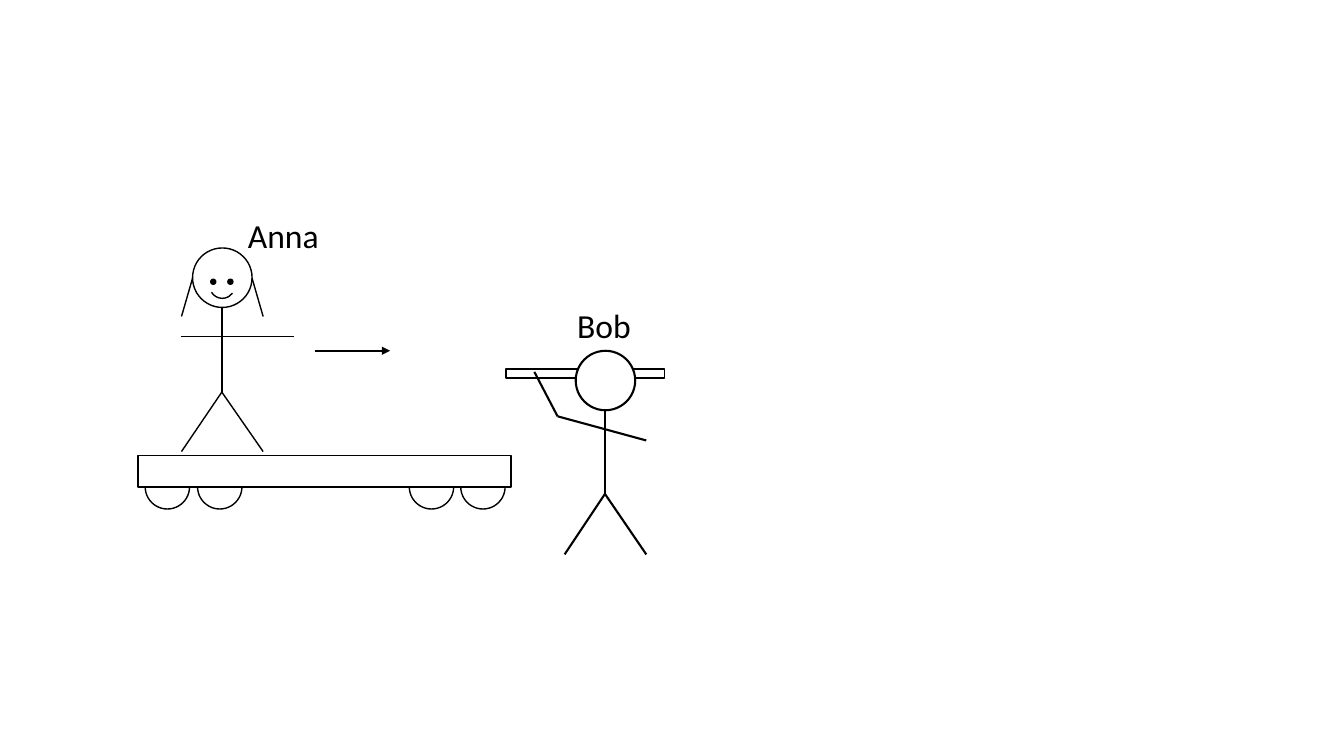
from lxml.etree import SubElement
from pptx import Presentation
from pptx.dml.color import RGBColor
from pptx.enum.shapes import MSO_CONNECTOR, MSO_SHAPE
from pptx.enum.text import MSO_AUTO_SIZE, PP_ALIGN
from pptx.oxml.ns import qn
from pptx.util import Pt

PX = 9144  # 100 px to the inch
COLORS = {"ink": "000000", "paper": "FFFFFF"}
INK = RGBColor.from_string(COLORS["ink"])
THIN, BOLD = 1, 1.5

prs = Presentation()
prs.slide_width, prs.slide_height = 1333 * PX, 750 * PX
slide = prs.slides.add_slide(prs.slide_layouts[6])


def add_outline(preset, box, fill=None, weight=THIN):
    shape = slide.shapes.add_shape(preset, *(v * PX for v in box))
    shape.shadow.inherit = False
    if fill:
        shape.fill.solid()
        shape.fill.fore_color.rgb = RGBColor.from_string(COLORS[fill])
    else:
        shape.fill.background()
    shape.line.color.rgb = INK
    shape.line.width = Pt(weight)
    return shape


def add_stroke(x1, y1, x2, y2, weight=THIN):
    stroke = slide.shapes.add_connector(
        MSO_CONNECTOR.STRAIGHT, x1 * PX, y1 * PX, x2 * PX, y2 * PX)
    stroke.line.color.rgb = INK
    stroke.line.width = Pt(weight)
    SubElement(stroke._element.spPr, qn("a:effectLst"))
    return stroke


# Pole behind Bob's head
add_outline(MSO_SHAPE.RECTANGLE, (502, 366, 157, 9), "paper")

# Anna: arms, then head, body and legs
add_stroke(180, 334, 292, 334)
add_outline(MSO_SHAPE.OVAL, (191, 246, 59, 59))
add_stroke(220, 305, 220, 389)
for foot_x in (180, 261):
    add_stroke(220, 389, foot_x, 448)

# Anna: eyes, hair and smile
for eye_x in (209, 226):
    add_outline(MSO_SHAPE.OVAL, (eye_x, 277, 5, 5), "ink")
for temple_x, tip_x in ((191, 180), (250, 261)):
    add_stroke(temple_x, 276, tip_x, 314)
smile = add_outline(MSO_SHAPE.ARC, (208, 271, 25, 25))
smile.adjustments[0] = 21.747
smile.adjustments[1] = 89.295

# Wagon: wheels half hidden by the bed
for wheel_x in (144, 196, 406, 457):
    add_outline(MSO_SHAPE.OVAL, (wheel_x, 461, 44, 44), "paper")
add_outline(MSO_SHAPE.RECTANGLE, (137, 452, 370, 31), "paper")

# Bob: head, body, legs and arms
add_outline(MSO_SHAPE.OVAL, (571, 348, 59, 59), "paper", BOLD)
add_stroke(600, 407, 600, 490, BOLD)
for foot_x in (560, 641):
    add_stroke(600, 490, foot_x, 550, BOLD)
add_stroke(553, 413, 641, 437, BOLD)
add_stroke(530, 369, 553, 413, BOLD)

# Direction of motion
motion = add_stroke(312, 348, 387, 348, BOLD)
SubElement(motion.line._get_or_add_ln(), qn("a:tailEnd"), type="triangle")

# Names
for name, left, top in (("Anna", 232, 208), ("Bob", 550, 298)):
    label = slide.shapes.add_textbox(left * PX, top * PX, 98 * PX, 50 * PX)
    frame = label.text_frame
    frame.word_wrap = True
    frame.auto_size = MSO_AUTO_SIZE.SHAPE_TO_FIT_TEXT
    paragraph = frame.paragraphs[0]
    paragraph.alignment = PP_ALIGN.CENTER
    run = paragraph.add_run()
    run.text = name
    run.font.name = "Calibri"
    run.font.size = Pt(24)
    run.font.color.rgb = INK

prs.save("out.pptx")
